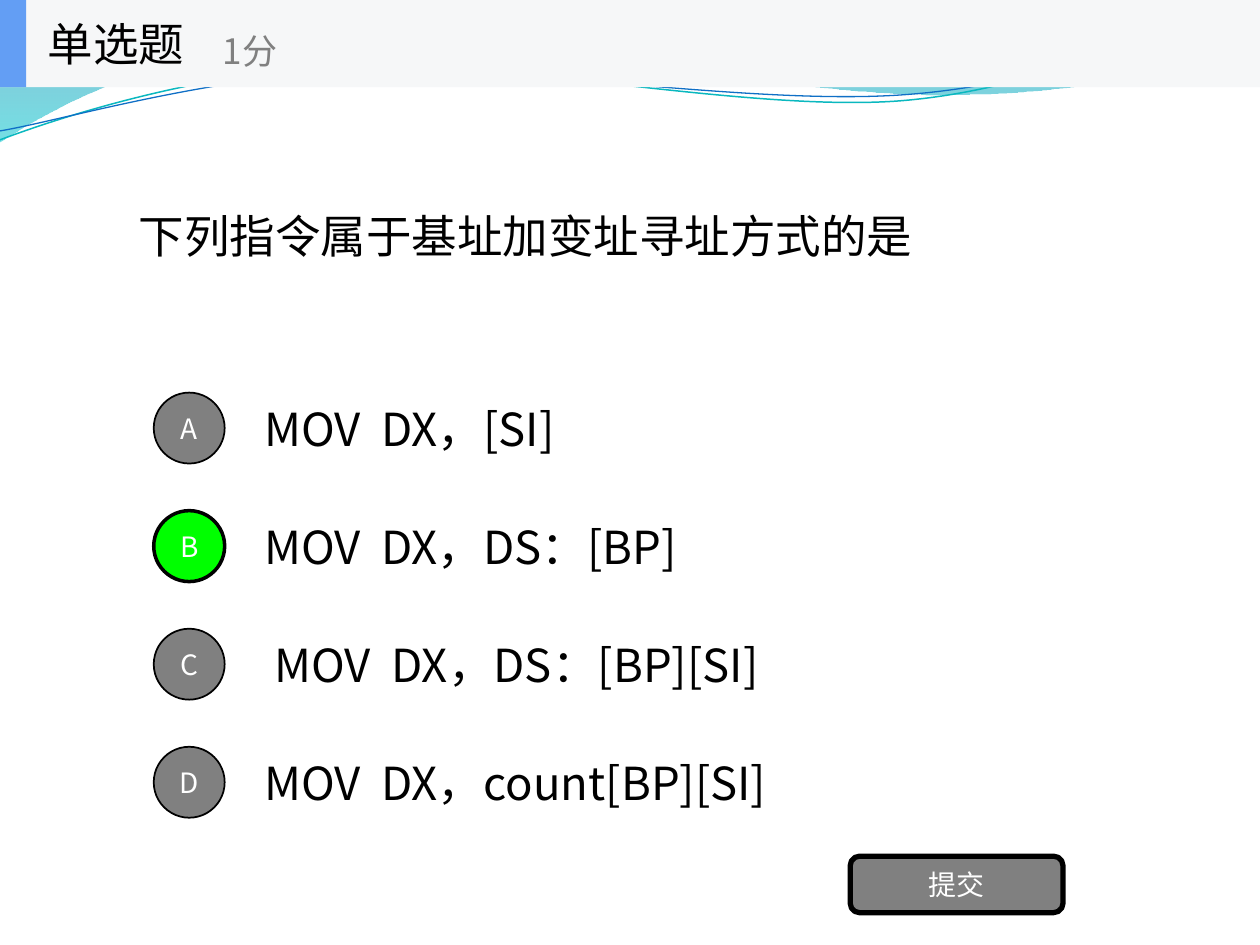
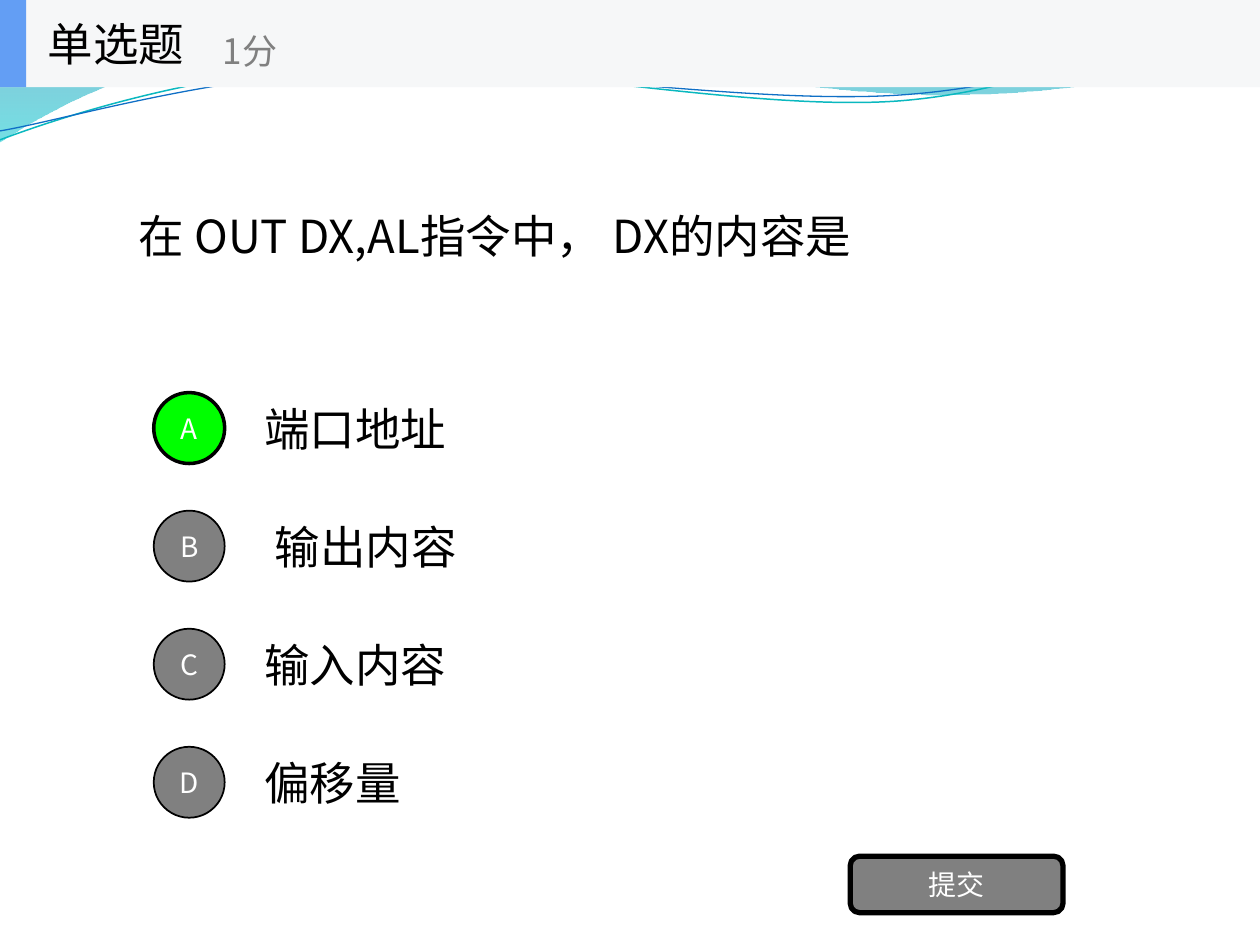
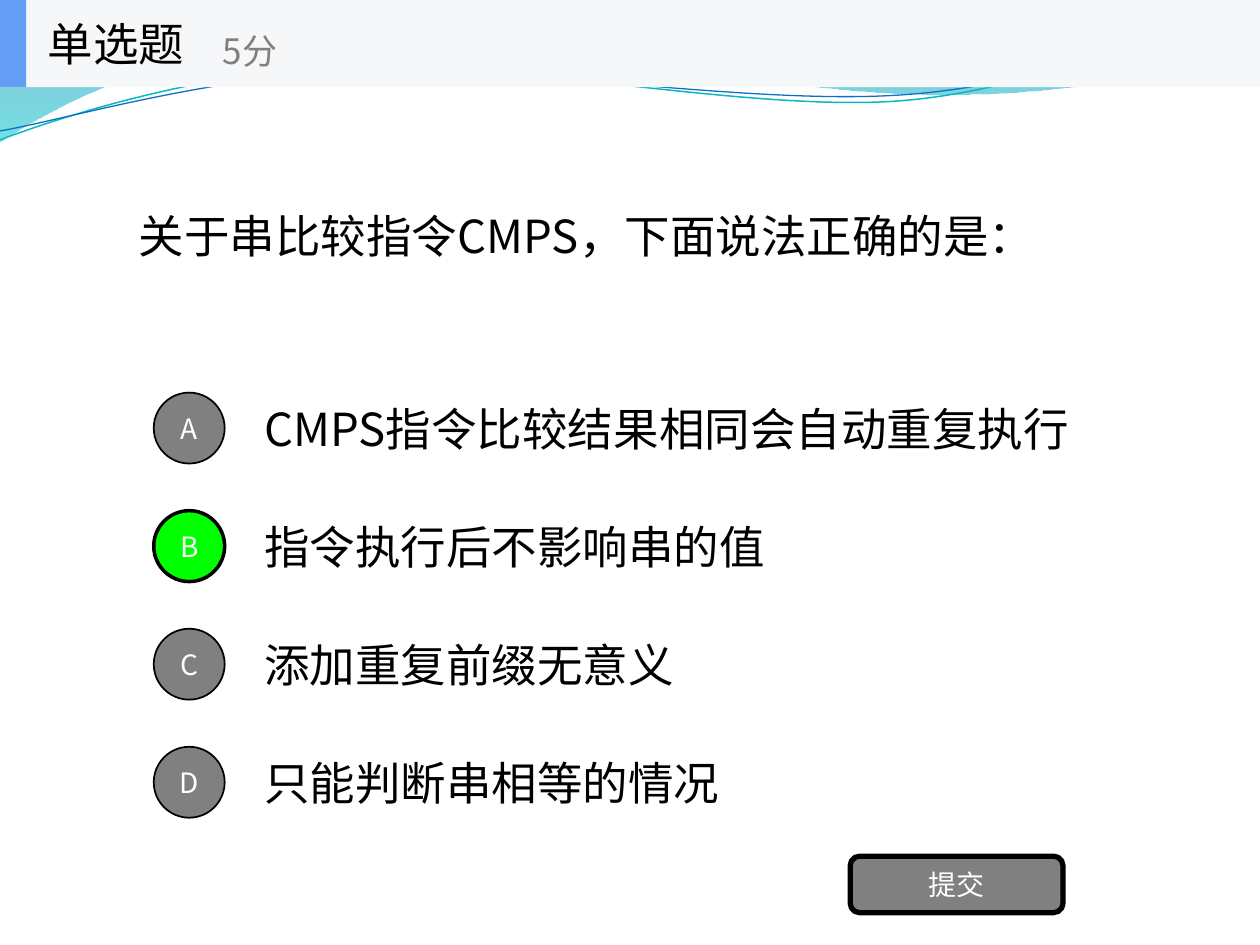
from dataclasses import dataclass

from lxml.etree import SubElement
from pptx import Presentation
from pptx.dml.color import RGBColor
from pptx.enum.shapes import MSO_SHAPE
from pptx.enum.text import MSO_ANCHOR, PP_ALIGN
from pptx.oxml.ns import qn
from pptx.util import Cm, Pt


@dataclass(frozen=True)
class Theme:
    font: str = "Noto Sans CJK SC"
    ink: str = "000000"
    paper: str = "FFFFFF"
    muted: str = "808080"
    correct: str = "00FF00"
    header: str = "F6F7F8"
    accent: str = "639EF4"
    body_size: int = 26
    points_size: int = 20
    button_size: int = 16


THEME = Theme()

HEADING = "单选题"
SUBMIT = "提交"
QUIZ = [
    {
        "points": "1分",
        "question": "下列指令属于基址加变址寻址方式的是",
        "options": [
            "MOV  DX，[SI]",
            "MOV  DX，DS：[BP]",
            " MOV  DX，DS：[BP][SI]",
            "MOV  DX，count[BP][SI]",
        ],
        "answer": "B",
    },
    {
        "points": "1分",
        "question": "在 OUT DX,AL指令中， DX的内容是",
        "options": ["端口地址", " 输出内容", "输入内容", "偏移量"],
        "answer": "A",
    },
    {
        "points": "5分",
        "question": "关于串比较指令CMPS，下面说法正确的是：",
        "options": [
            "CMPS指令比较结果相同会自动重复执行",
            "指令执行后不影响串的值",
            "添加重复前缀无意义",
            "只能判断串相等的情况",
        ],
        "answer": "B",
    },
]

# Outlines in cm: a start point, then line ends (one point)
# or cubic curves (two controls and an end).
# Gradient stops: position, colour, opacity in percent.
WAVE_BANDS = [
    {
        "start": (0, 0),
        "steps": [
            [(11.18, -0.03)],
            [(12.09, 0.43), (16.87, 1.6), (19.25, 1.6)],
            [(21.67, 1.6), (24.33, 0.66), (25.4, 0.23)],
            [(25.43, 0.91)],
            [(24.97, 1.12), (22.1, 1.93), (18.95, 1.91)],
            [(15.8, 1.91), (9.7, 0.71), (6.53, 0.86)],
            [(3.28, 0.91), (1.17, 2.11), (-0.03, 2.87)],
        ],
        "stops": [(0, "0074A1", 45), (1, "00C6CF", 55)],
    },
    {
        "start": (12.17, -0.03),
        "steps": [
            [(12.93, 0.28), (17.32, 1.57), (19.53, 1.65)],
            [(21.74, 1.75), (24.41, 0.81), (25.4, 0.53)],
            [(25.4, 0)],
        ],
        "stops": [(0, "00A1A9", 30), (0.8, "008BBF", 45)],
    },
]
WAVE_LINES = [
    {
        "start": (-0.05, 2.22),
        "steps": [
            [(1.19, 1.82), (4.02, 1.04), (7.05, 1.05)],
            [(10.05, 1.07), (15.02, 2.37), (18.08, 2.29)],
            [(21.13, 2.2), (23.87, 0.91), (25.41, 0.55)],
        ],
        "colour": "0AB8BF",
        "width": 0.85,
    },
    {
        "start": (-0.04, 2.04),
        "steps": [
            [(1.16, 1.9), (4.18, 1.15), (7.2, 1.16)],
            [(10.25, 1.18), (15.13, 2.25), (18.19, 2.17)],
            [(21.21, 2.1), (23.93, 1.06), (25.45, 0.75)],
        ],
        "colour": "0F6FC6",
        "width": 0.75,
    },
]
WAVE_TILT = 357.3

SLIDE_WIDTH, SLIDE_HEIGHT = 25.4, 19.05
HEADER_HEIGHT = 1.76
QUESTION_BOX = (2.54, HEADER_HEIGHT, 20.32, 5.95)
HEADING_BOX = (0.71, 0, 5.28, HEADER_HEIGHT)
POINTS_BOX = (4.24, 0.3, 6.35, 1.42)
SUBMIT_BOX = (17.14, 17.26, 4.29, 1.14)
OPTION_LEFT, OPTION_TOP = 5.08, 7.74
OPTION_WIDTH, OPTION_HEIGHT, OPTION_PITCH = 17.78, 1.78, 2.38
BADGE_LEFT, BADGE_SIZE = 3.1, 1.43


def colour(code):
    return RGBColor.from_string(code)


def write(shape, text, size, ink, align=PP_ALIGN.LEFT):
    frame = shape.text_frame
    frame.text = text
    frame.word_wrap = True
    frame.vertical_anchor = MSO_ANCHOR.MIDDLE
    paragraph = frame.paragraphs[0]
    paragraph.alignment = align
    for run in paragraph.runs:
        run.font.size = Pt(size)
        run.font.name = THEME.font
        run.font.color.rgb = colour(ink)
        east_asian = SubElement(run.font._element, qn("a:ea"))
        east_asian.set("typeface", THEME.font)


def add_text(shapes, box, text, size, ink=THEME.ink):
    write(shapes.add_textbox(*map(Cm, box)), text, size, ink)


def add_block(shapes, preset, box, fill, line_width=0):
    block = shapes.add_shape(preset, *map(Cm, box))
    block.shadow.inherit = False
    block.fill.solid()
    block.fill.fore_color.rgb = colour(fill)
    if line_width:
        block.line.color.rgb = colour(THEME.ink)
        block.line.width = Pt(line_width)
    else:
        block.line.fill.background()
    return block


def add_button(shapes, preset, box, label, fill, line_width):
    button = add_block(shapes, preset, box, fill, line_width)
    frame = button.text_frame
    frame.margin_left = frame.margin_right = 0
    frame.margin_top = frame.margin_bottom = 0
    write(button, label, THEME.button_size, THEME.paper, PP_ALIGN.CENTER)


def add_outline(shapes, wave, close):
    """Draw the points as straight segments, then merge each triple into a curve."""
    builder = shapes.build_freeform(*map(Cm, wave["start"]))
    points = [(Cm(x), Cm(y)) for step in wave["steps"] for x, y in step]
    builder.add_line_segments(points, close=close)
    outline = builder.convert_to_shape()
    outline.shadow.inherit = False
    segments = iter(list(outline._element.spPr.iter(qn("a:lnTo"))))
    for step in wave["steps"]:
        first, *others = [next(segments) for _ in step]
        if others:
            first.tag = qn("a:cubicBezTo")
        for segment in others:
            first.append(segment[0])
            segment.getparent().remove(segment)
    return outline


def add_bands(shapes):
    for wave in WAVE_BANDS:
        band = add_outline(shapes, wave, close=True)
        band.line.fill.background()
        band.fill.gradient()
        band.fill.gradient_angle = 270
        for stop, (position, code, _) in zip(band.fill.gradient_stops, wave["stops"]):
            stop.position = position
            stop.color.rgb = colour(code)
        tints = list(band._element.spPr.iter(qn("a:srgbClr")))
        for tint, (_, _, opacity) in zip(tints, wave["stops"]):
            SubElement(tint, qn("a:alpha")).set("val", str(opacity * 1000))
        yield band


def add_lines(shapes):
    for wave in WAVE_LINES:
        curve = add_outline(shapes, wave, close=False)
        curve.rotation = WAVE_TILT
        curve.fill.background()
        curve.line.color.rgb = colour(wave["colour"])
        curve.line.width = Pt(wave["width"])
        yield curve


def decorate(layout, slide):
    """Build the waves on a slide and move them behind the layout's placeholders."""
    waves = [*add_bands(slide.shapes), *add_lines(slide.shapes)]
    for order, wave in enumerate(waves):
        wave._element.nvSpPr.cNvPr.set("id", str(100 + order))
        layout.shapes._spTree.insert(2 + order, wave._element)


def add_header(slide, points):
    header = slide.shapes.add_group_shape().shapes
    for width, fill in ((SLIDE_WIDTH, THEME.header), (0.53, THEME.accent)):
        add_block(header, MSO_SHAPE.RECTANGLE, (0, 0, width, HEADER_HEIGHT), fill)
    add_text(header, HEADING_BOX, HEADING, THEME.body_size)
    add_text(header, POINTS_BOX, points, THEME.points_size, THEME.muted)


def add_question(slide, question):
    title = slide.shapes.title
    title.left, title.top, title.width, title.height = map(Cm, QUESTION_BOX)
    write(title, question, THEME.body_size, THEME.ink)


def add_options(slide, options, answer):
    tops = [OPTION_TOP + row * OPTION_PITCH for row in range(len(options))]
    for top, option in zip(tops, options):
        option_box = (OPTION_LEFT, top, OPTION_WIDTH, OPTION_HEIGHT)
        add_text(slide.shapes, option_box, option, THEME.body_size)
    badge_inset = (OPTION_HEIGHT - BADGE_SIZE) / 2
    for top, letter in zip(tops, "ABCD"):
        fill, line_width = (THEME.correct, 2) if letter == answer else (THEME.muted, 1)
        badge_box = (BADGE_LEFT, top + badge_inset, BADGE_SIZE, BADGE_SIZE)
        add_button(slide.shapes, MSO_SHAPE.OVAL, badge_box, letter, fill, line_width)


def main():
    deck = Presentation()
    deck.slide_width, deck.slide_height = Cm(SLIDE_WIDTH), Cm(SLIDE_HEIGHT)
    title_only = deck.slide_layouts.get_by_name("Title Only")
    slides = [deck.slides.add_slide(title_only) for _ in QUIZ]
    decorate(title_only, slides[0])
    for slide, item in zip(slides, QUIZ):
        add_question(slide, item["question"])
        add_options(slide, item["options"], item["answer"])
        add_button(slide.shapes, MSO_SHAPE.ROUNDED_RECTANGLE, SUBMIT_BOX, SUBMIT,
                   THEME.muted, 3)
        add_header(slide, item["points"])
    deck.save("out.pptx")


if __name__ == "__main__":
    main()
